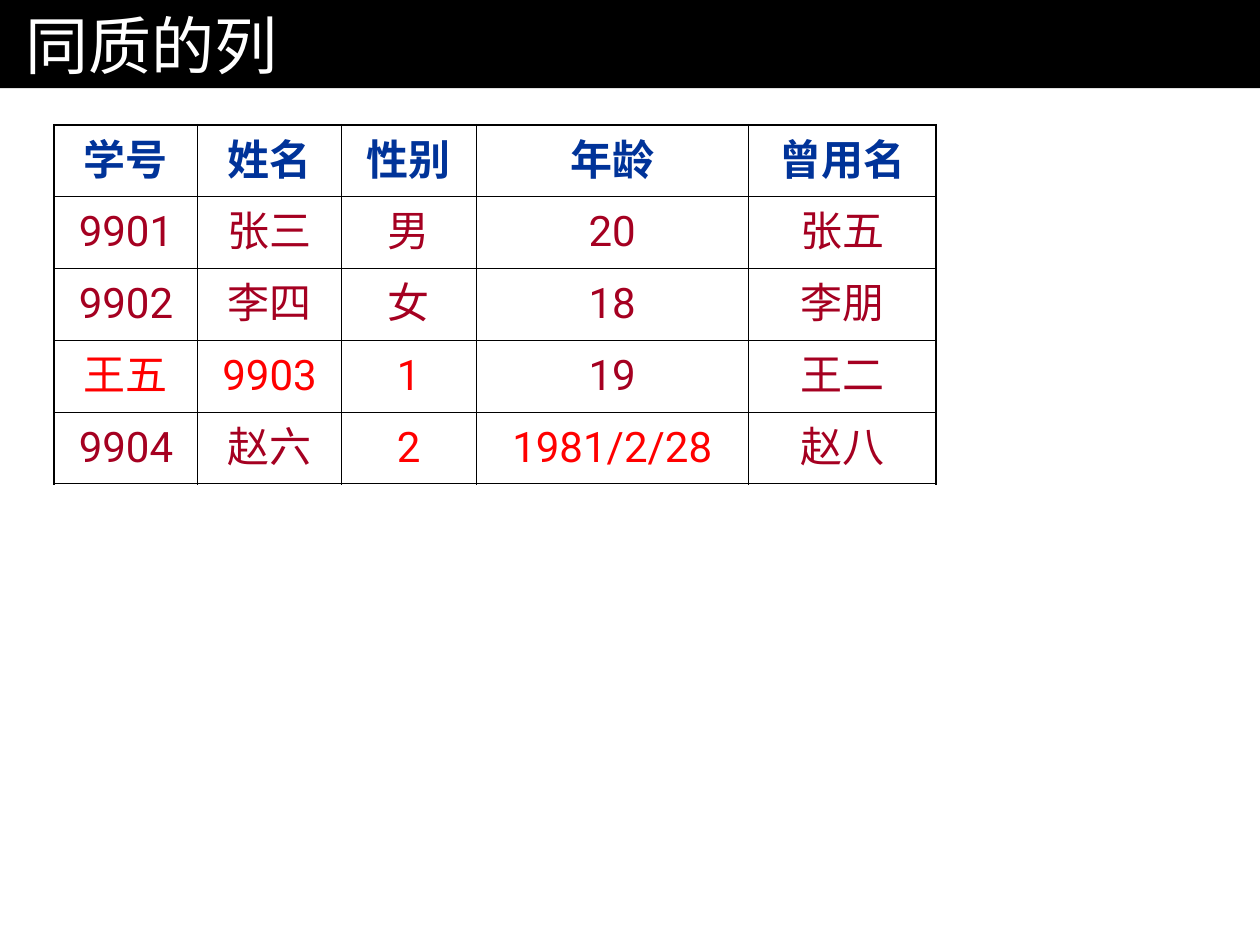
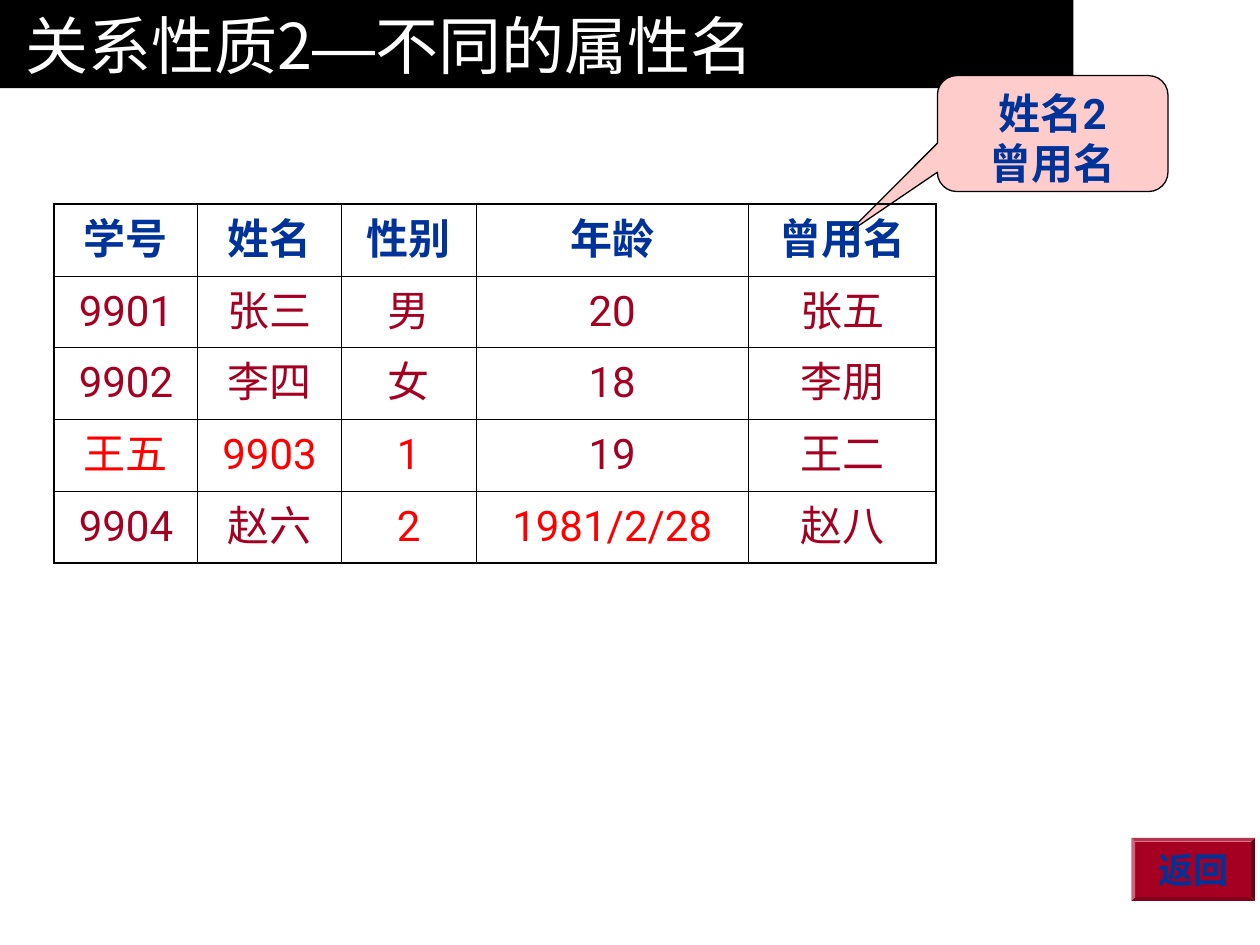
from dataclasses import dataclass

from lxml import etree
from pptx import Presentation
from pptx import util as u
from pptx.dml.color import RGBColor
from pptx.enum import shapes, text
from pptx.oxml import ns


@dataclass(frozen=True)
class Theme:
    black: str = "000000"
    white: str = "FFFFFF"
    heading: str = "003399"
    value: str = "A50021"
    wrong: str = "FF0000"
    callout: str = "FFCCCC"
    title_font: str = "Noto Sans CJK SC"
    table_font: str = "Roboto"
    button_font: str = "Arial"
    title_size: float = 36
    table_size: float = 24
    button_size: float = 20
    outer_line: float = 1.08
    inner_line: float = 0.45


COLUMN_WIDTHS = [1.14, 1.14, 1.07, 2.16, 1.49]
ROW_HEIGHT = 0.57
STUDENTS = [
    ["学号", "姓名", "性别", "年龄", "曾用名"],
    ["9901", "张三", "男", "20", "张五"],
    ["9902", "李四", "女", "18", "李朋"],
    ["王五", "9903", "1", "19", "王二"],
    ["9904", "赵六", "2", "1981/2/28", "赵八"],
]
WRONG_VALUES = {"王五", "9903", "1", "2", "1981/2/28"}


def add_span(para, words, *, font, size, color, bold=False, east_asian=None):
    span = para.add_run()
    span.text = words
    span.font.name = font
    span.font.size = u.Pt(size)
    span.font.bold = bold
    span.font.color.rgb = RGBColor.from_string(color)
    face = etree.SubElement(span.font._element, ns.qn("a:ea"))
    face.set("typeface", east_asian or font)


def set_fill(shape, color):
    shape.fill.solid()
    shape.fill.fore_color.rgb = RGBColor.from_string(color)


def set_borders(cell, widths, color):
    """Draw the left, right, top and bottom borders, in that order."""
    properties = cell._tc.get_or_add_tcPr()
    for index, (side, width) in enumerate(zip("LRTB", widths)):
        line = etree.Element(ns.qn(f"a:ln{side}"), w=str(u.Pt(width)))
        fill = etree.SubElement(line, ns.qn("a:solidFill"))
        etree.SubElement(fill, ns.qn("a:srgbClr"), val=color)
        properties.insert(index, line)


class SlideBuilder:
    def __init__(self, deck, theme):
        self.deck = deck
        self.theme = theme
        self.page = None

    def new_page(self):
        self.page = self.deck.slides.add_slide(self.deck.slide_layouts[5])

    def title(self, spans, width):
        """Place the title band; spans are (words, font) pairs."""
        theme = self.theme
        box = self.page.shapes.title
        box.left, box.top = u.Inches(0), u.Inches(0)
        box.width, box.height = u.Inches(width), u.Inches(0.7)
        set_fill(box, theme.black)
        frame = box.text_frame
        frame.auto_size = text.MSO_AUTO_SIZE.NONE
        frame.vertical_anchor = text.MSO_ANCHOR.MIDDLE
        frame.margin_left = frame.margin_right = u.Inches(0.2)
        para = frame.paragraphs[0]
        para.alignment = text.PP_ALIGN.LEFT
        for words, font in spans:
            add_span(para, words, font=font, size=theme.title_size,
                     color=theme.white, east_asian=theme.title_font)

    def student_table(self, top):
        theme = self.theme
        last_row, last_column = len(STUDENTS) - 1, len(COLUMN_WIDTHS) - 1
        table = self.page.shapes.add_table(
            len(STUDENTS), len(COLUMN_WIDTHS), u.Inches(0.43), u.Inches(top),
            u.Inches(sum(COLUMN_WIDTHS)),
            u.Inches(ROW_HEIGHT * len(STUDENTS))).table
        table.first_row = table.horz_banding = False
        for column, width in zip(table.columns, COLUMN_WIDTHS):
            column.width = u.Inches(width)
        for r, row in enumerate(STUDENTS):
            table.rows[r].height = u.Inches(ROW_HEIGHT)
            for c, words in enumerate(row):
                cell = table.cell(r, c)
                cell.fill.background()
                cell.vertical_anchor = text.MSO_ANCHOR.MIDDLE
                outer = (c == 0, c == last_column, r == 0, r == last_row)
                set_borders(cell, [theme.outer_line if edge else theme.inner_line
                                   for edge in outer], theme.black)
                para = cell.text_frame.paragraphs[0]
                para.alignment = text.PP_ALIGN.CENTER
                para.space_before = u.Pt(6)
                color = theme.wrong if words in WRONG_VALUES else theme.value
                add_span(para, words, font=theme.table_font, size=theme.table_size,
                         color=theme.heading if r == 0 else color, bold=r == 0)

    def shape(self, kind, place, fill, lines, anchor, space_before=0, **style):
        """Add a filled preset shape with centred bold lines of text."""
        shape = self.page.shapes.add_shape(kind, *map(u.Inches, place))
        shape.shadow.inherit = False
        set_fill(shape, fill)
        shape.line.fill.background()
        frame = shape.text_frame
        frame.word_wrap = True
        frame.vertical_anchor = anchor
        for index, words in enumerate(lines):
            para = frame.add_paragraph() if index else frame.paragraphs[0]
            para.alignment = text.PP_ALIGN.CENTER
            para.space_before = u.Pt(space_before)
            add_span(para, words, color=self.theme.heading, bold=True, **style)
        return shape

    def callout(self, lines, place, pointer):
        theme = self.theme
        callout = self.shape(
            shapes.MSO_SHAPE.ROUNDED_RECTANGULAR_CALLOUT, place, theme.callout,
            lines, text.MSO_ANCHOR.TOP,
            font=theme.table_font, size=theme.table_size)
        callout.adjustments[0], callout.adjustments[1] = pointer
        callout.line.color.rgb = RGBColor.from_string(theme.black)
        callout.line.width = u.Pt(0.75)

    def button(self, words, place):
        theme = self.theme
        button = self.shape(
            shapes.MSO_SHAPE.BEVEL, place, theme.value, [words],
            text.MSO_ANCHOR.MIDDLE, space_before=12.5,
            font=theme.button_font, size=theme.button_size)
        button.adjustments[0] = 0.06


def main():
    deck = Presentation()
    deck.slide_width, deck.slide_height = u.Inches(10), u.Inches(7.5)
    theme = Theme()
    builder = SlideBuilder(deck, theme)

    builder.new_page()
    builder.title([("同质的列", theme.title_font)], width=10)
    builder.student_table(top=0.99)

    builder.new_page()
    builder.title([("关系性质2", theme.title_font), ("—", theme.button_font),
                   ("不同的属性名", theme.title_font)], width=8.52)
    builder.callout(["姓名2", "曾用名"], (7.44, 0.6, 1.83, 0.92),
                    pointer=(-0.89, 0.86))
    builder.button("返回", (8.98, 6.65, 0.98, 0.5))
    builder.student_table(top=1.62)

    deck.save("out.pptx")


if __name__ == "__main__":
    main()
